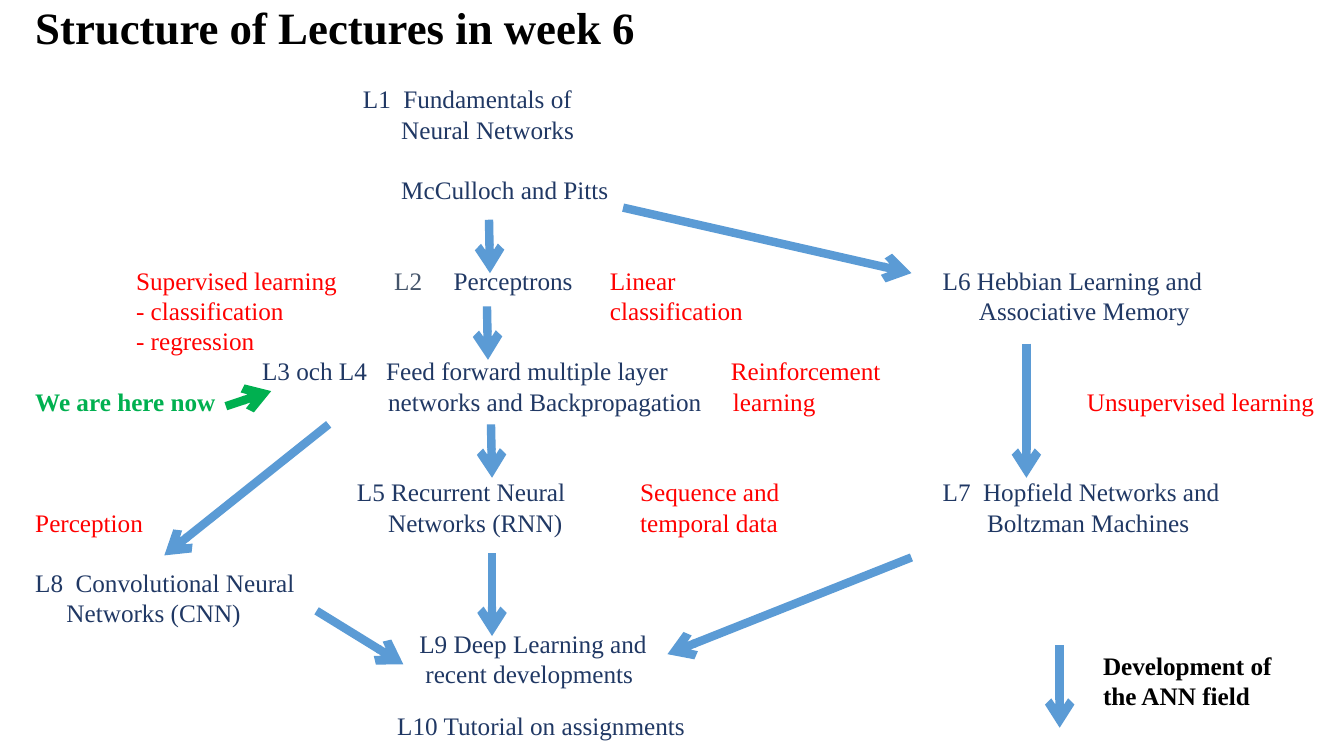
from dataclasses import dataclass

from lxml import etree
from pptx import Presentation
from pptx.dml.color import RGBColor
from pptx.enum import shapes, text
from pptx.oxml import ns
from pptx.slide import Slide
from pptx.util import Inches, Pt


@dataclass(frozen=True)
class Theme:
    """Colours, font and sizes of the slide."""
    font: str = "Times New Roman"
    ink: str = "000000"
    lecture: str = "203864"
    muted: str = "44546A"
    topic: str = "FF0000"
    here: str = "00B050"
    flow: str = "5B9BD5"
    title_size: int = 32
    body_size: int = 18
    arrow_width: int = 6


@dataclass(frozen=True)
class Label:
    """A text block; gap is the first line's tab, indent shifts later lines."""
    left: float
    top: float
    width: float
    lines: tuple[str, ...]
    color: str
    gap: float = 0
    indent: float = 0
    bold: bool = False
    size: int = Theme.body_size


@dataclass(frozen=True)
class Arrow:
    """A straight arrow from start to end."""
    start: tuple[float, float]
    end: tuple[float, float]
    color: str = Theme.flow


THEME = Theme()
FIRST_ROW = 0.83
ROW_HEIGHT = 0.3
MARGIN = 0.35


def row(number: int) -> float:
    """Return the top of a text row."""
    return FIRST_ROW + number * ROW_HEIGHT


LECTURES = [
    Label(3.6, row(0), 2.4, ("L1\tFundamentals of", "Neural Networks"), THEME.lecture, 0.4, 0.38),
    Label(3.98, row(3), 2.4, ("McCulloch and Pitts",), THEME.lecture),
    Label(3.91, row(6), 0.4, ("L2",), THEME.muted),
    Label(4.5, row(6), 1.4, ("Perceptrons",), THEME.lecture),
    Label(2.6, row(9), 4.6, ("L3 och L4\tFeed forward multiple layer", "networks and Backpropagation"),
          THEME.lecture, 1.23, 1.25),
    Label(3.54, row(13), 2.4, ("L5 Recurrent Neural", "Networks (RNN)"), THEME.lecture, 0, 0.31),
    Label(9.35, row(6), 2.9, ("L6 Hebbian Learning and", "Associative Memory"), THEME.lecture, 0, 0.36),
    Label(9.35, row(13), 3, ("L7\tHopfield Networks and", "Boltzman Machines"), THEME.lecture, 0.4, 0.44),
    Label(MARGIN, row(16), 2.9, ("L8\tConvolutional Neural", "Networks (CNN)"), THEME.lecture, 0.4, 0.31),
    Label(4.16, row(18), 2.6, ("L9 Deep Learning and", "recent developments"), THEME.lecture, 0, 0.06),
    Label(3.94, 7.05, 3.1, ("L10 Tutorial on assignments",), THEME.lecture),
]

TOPICS = [
    Label(1.35, row(6), 2.3, ("Supervised learning", "- classification", "- regression"), THEME.topic),
    Label(6.05, row(6), 1.6, ("Linear", "classification"), THEME.topic),
    Label(7.25, row(9), 1.8, ("Reinforcement", "learning"), THEME.topic, 0, 0.02),
    Label(10.78, row(10), 2.5, ("Unsupervised learning",), THEME.topic),
    Label(6.35, row(13), 1.7, ("Sequence and", "temporal data"), THEME.topic),
    Label(MARGIN, row(14), 1.4, ("Perception",), THEME.topic),
]

HEADINGS = [
    Label(MARGIN, 0, 12.6, ("Structure of Lectures in week 6",), THEME.ink, bold=True, size=THEME.title_size),
    Label(MARGIN, row(10), 1.9, ("We are here now",), THEME.here, bold=True),
    Label(10.94, 6.45, 1.9, ("Development of", "the ANN field"), THEME.ink, bold=True),
]

ARROWS = [
    Arrow((4.85, 2.18), (4.86, 2.71)),
    Arrow((4.83, 3.04), (4.84, 3.57)),
    Arrow((4.87, 4.21), (4.88, 4.74)),
    Arrow((4.88, 5.49), (4.88, 6.31)),
    Arrow((6.18, 2.06), (9.04, 2.71)),
    Arrow((10.18, 3.41), (10.18, 4.74)),
    Arrow((9.04, 5.53), (6.62, 6.49)),
    Arrow((3.26, 4.21), (1.63, 5.51)),
    Arrow((3.14, 6.06), (4, 6.59)),
    Arrow((2.24, 4.03), (2.69, 3.88), THEME.here),
    Arrow((10.51, 6.4), (10.51, 7.22)),
]


def draw_label(slide: Slide, label: Label) -> None:
    """Add a label with one paragraph per line."""
    height = len(label.lines) * label.size / THEME.body_size * ROW_HEIGHT
    box = slide.shapes.add_textbox(
        Inches(label.left), Inches(label.top), Inches(label.width), Inches(height))
    frame = box.text_frame
    frame.word_wrap = True
    frame.vertical_anchor = text.MSO_ANCHOR.TOP
    frame.margin_left = frame.margin_right = frame.margin_top = frame.margin_bottom = 0
    for number, line in enumerate(label.lines):
        paragraph = frame.add_paragraph() if number else frame.paragraphs[0]
        properties = paragraph._p.get_or_add_pPr()
        properties.set("marL", str(Inches(label.indent if number else label.gap)))
        properties.set("indent", str(Inches(0 if number else -label.gap)))
        if label.gap and not number:
            stops = etree.SubElement(properties, ns.qn("a:tabLst"))
            etree.SubElement(stops, ns.qn("a:tab"), pos=str(Inches(label.gap)), algn="l")
        run = paragraph.add_run()
        run.text = line
        run.font.name = THEME.font
        run.font.size = Pt(label.size)
        run.font.bold = label.bold
        run.font.color.rgb = RGBColor.from_string(label.color)


def draw_arrow(slide: Slide, arrow: Arrow) -> None:
    """Add a thick connector with an open arrowhead."""
    points = [Inches(value) for value in (*arrow.start, *arrow.end)]
    connector = slide.shapes.add_connector(shapes.MSO_CONNECTOR.STRAIGHT, *points)
    connector.line.width = Pt(THEME.arrow_width)
    connector.line.color.rgb = RGBColor.from_string(arrow.color)
    etree.SubElement(connector.line._get_or_add_ln(), ns.qn("a:tailEnd"), type="arrow")
    etree.SubElement(connector._element.spPr, ns.qn("a:effectLst"))


def main() -> None:
    """Build and save the lecture map."""
    deck = Presentation()
    deck.slide_width, deck.slide_height = Inches(13.33), Inches(7.5)
    slide = deck.slides.add_slide(deck.slide_layouts[6])
    for label in HEADINGS + LECTURES + TOPICS:
        draw_label(slide, label)
    for arrow in ARROWS:
        draw_arrow(slide, arrow)
    deck.save("out.pptx")


if __name__ == "__main__":
    main()
